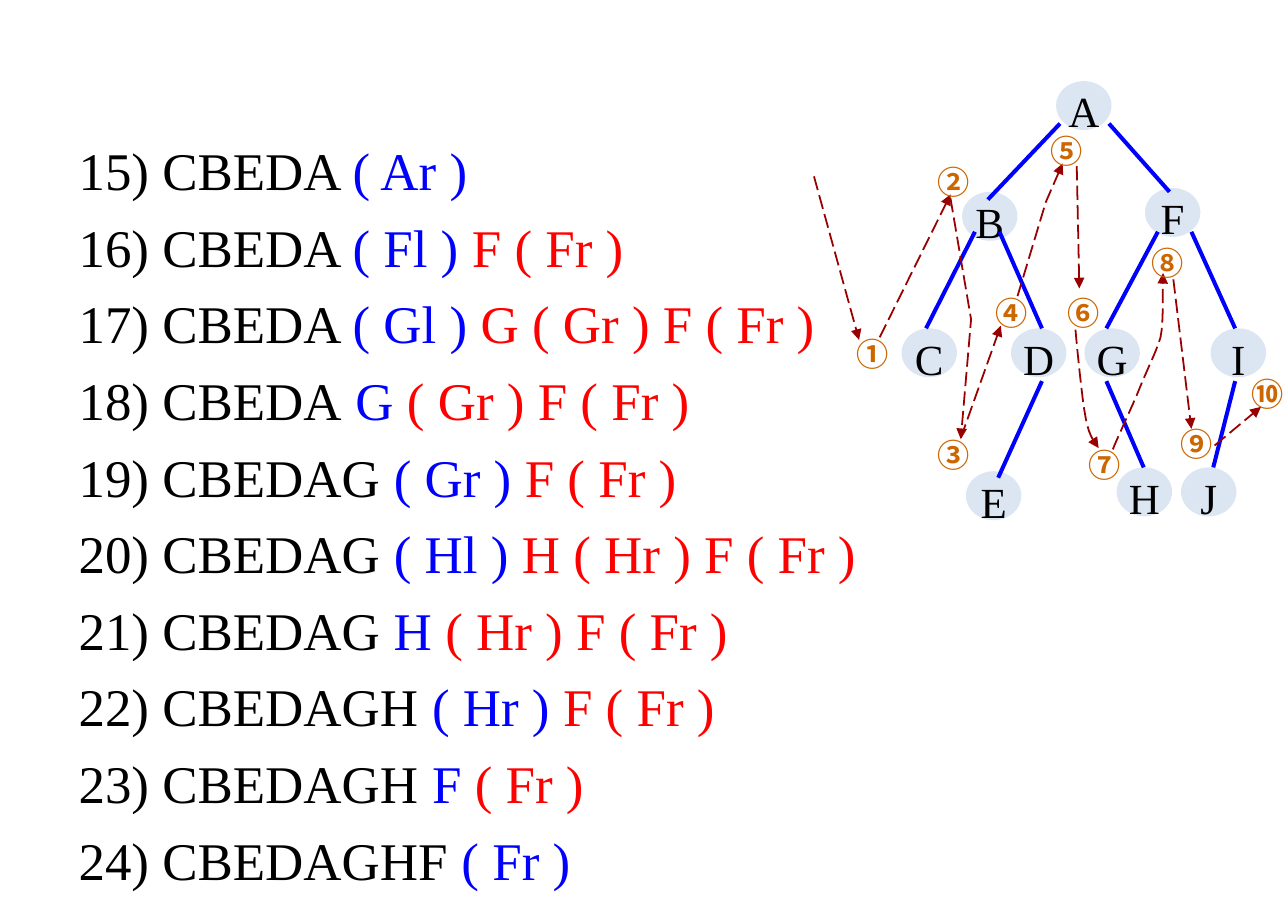
from dataclasses import dataclass

from lxml import etree
from pptx import Presentation
from pptx.dml.color import RGBColor
from pptx.enum.dml import MSO_LINE
from pptx.enum.shapes import MSO_CONNECTOR, MSO_SHAPE
from pptx.enum.text import MSO_ANCHOR, MSO_AUTO_SIZE, PP_ALIGN
from pptx.oxml.ns import qn
from pptx.util import Inches, Pt

BLACK = RGBColor(0x00, 0x00, 0x00)
BLUE = RGBColor(0x00, 0x00, 0xFF)
RED = RGBColor(0xFF, 0x00, 0x00)
PALE_BLUE = RGBColor(0xDC, 0xE6, 0xF2)
DARK_RED = RGBColor(0x99, 0x00, 0x00)
ORANGE = RGBColor(0xCC, 0x66, 0x00)
SERIF = "Times New Roman"
CJK = "Noto Sans CJK SC"
STRAIGHT = MSO_CONNECTOR.STRAIGHT
ELLIPSE = MSO_SHAPE.OVAL
LONG_DASH = MSO_LINE.LONG_DASH
MIDDLE = MSO_ANCHOR.MIDDLE
CENTER = PP_ALIGN.CENTER
NO_AUTOFIT = MSO_AUTO_SIZE.NONE
NODE_WIDTH, NODE_HEIGHT = 0.43, 0.38
CURVE_STEPS = 8

Point = tuple[float, float]


@dataclass(frozen=True)
class Step:
    done: str
    current: str
    pending: str = ""


@dataclass(frozen=True)
class Label:
    text: str
    left: float
    top: float


@dataclass(frozen=True)
class Edge:
    start: Point
    end: Point


@dataclass(frozen=True)
class Trail:
    points: tuple[Point, ...]
    curved: bool = False


STEPS = [
    Step("15) CBEDA ", "( Ar )"),
    Step("16) CBEDA ", "( Fl ) ", "F ( Fr )"),
    Step("17) CBEDA ", "( Gl ) ", "G ( Gr ) F ( Fr )"),
    Step("18) CBEDA", " G", " ( Gr ) F ( Fr )"),
    Step("19) CBEDAG ", "( Gr ) ", "F ( Fr )"),
    Step("20) CBEDAG ", "( Hl ) ", "H ( Hr ) F ( Fr )"),
    Step("21) CBEDAG", " H", " ( Hr ) F ( Fr )"),
    Step("22) CBEDAGH ", "( Hr )", " F ( Fr )"),
    Step("23) CBEDAGH ", "F", " ( Fr )"),
    Step("24) CBEDAGHF ", "( Fr )"),
]
NODES = [
    Label("A", 8.2, 0.63), Label("B", 7.47, 1.49), Label("C", 7, 2.55),
    Label("D", 7.85, 2.55), Label("E", 7.5, 3.66), Label("F", 8.89, 1.46),
    Label("G", 8.42, 2.55), Label("H", 8.67, 3.63), Label("I", 9.4, 2.55),
    Label("J", 9.17, 3.63),
]
EDGES = [
    Edge((8.23, 0.96), (7.67, 1.55)), Edge((8.61, 0.96), (9.08, 1.49)),
    Edge((7.57, 1.8), (7.19, 2.55)), Edge((7.76, 1.8), (8.09, 2.55)),
    Edge((8.99, 1.8), (8.59, 2.55)), Edge((9.25, 1.8), (9.59, 2.55)),
    Edge((8.09, 2.96), (7.75, 3.71)), Edge((8.59, 2.96), (8.88, 3.63)),
    Edge((9.59, 2.96), (9.42, 3.63)),
]
VISITS = [
    Label("①", 6.55, 2.55), Label("②", 7.18, 1.21), Label("③", 7.18, 3.33),
    Label("④", 7.63, 2.23), Label("⑤", 8.06, 0.97), Label("⑥", 8.19, 2.23),
    Label("⑦", 8.35, 3.41), Label("⑧", 8.84, 1.84), Label("⑨", 9.07, 3.25),
    Label("⑩", 9.62, 2.86),
]
TRAILS = [
    Trail(((6.32, 1.37), (6.67, 2.64))),
    Trail(((6.83, 2.62), (7.38, 1.51))),
    Trail(((7.38, 1.54), (7.54, 2.48), (7.46, 3.41))),
    Trail(((7.46, 3.4), (7.77, 2.53))),
    Trail(((7.9, 2.3), (8.12, 1.57), (8.25, 1.27))),
    Trail(((8.36, 1.29), (8.38, 2.24))),
    Trail(((8.35, 2.56), (8.36, 2.67), (8.4, 3.1), (8.43, 3.25),
           (8.46, 3.41), (8.51, 3.44), (8.53, 3.48)), curved=True),
    Trail(((8.64, 3.49), (8.67, 3.41), (8.79, 3.16), (8.85, 3.01),
           (8.91, 2.86), (8.97, 2.75), (9.01, 2.62),
           (9.04, 2.48), (9.02, 2.2), (9.03, 2.12)), curved=True),
    Trail(((9.11, 2.17), (9.25, 3.33))),
    Trail(((9.43, 3.46), (9.79, 3.16))),
]


def write(paragraph, text: str, *, size: float, color: RGBColor,
          font: str = SERIF, bold: bool = False) -> None:
    run = paragraph.add_run()
    run.text = text
    run.font.size = Pt(size)
    run.font.name = font
    run.font.bold = bold
    run.font.color.rgb = color
    etree.SubElement(run.font._element, qn("a:ea"), typeface=font)


def write_steps(body) -> None:
    body.left, body.top = Inches(0.51), Inches(1.02)
    body.width, body.height = Inches(9), Inches(5.67)
    frame = body.text_frame
    frame.auto_size = NO_AUTOFIT
    for index, step in enumerate(STEPS):
        paragraph = frame.add_paragraph() if index else frame.paragraphs[0]
        paragraph.space_before = Pt(7.3)
        properties = paragraph._p.get_or_add_pPr()
        properties.set("marL", str(Inches(0.38)))
        properties.set("indent", str(-Inches(0.38)))
        etree.SubElement(properties, qn("a:buNone"))
        for text, color in ((step.done, BLACK), (step.current, BLUE), (step.pending, RED)):
            if text:
                write(paragraph, text, size=29.6, color=color)


def draw_node(shapes, node: Label) -> None:
    circle = shapes.add_shape(ELLIPSE, Inches(node.left), Inches(node.top),
                              Inches(NODE_WIDTH), Inches(NODE_HEIGHT))
    circle.shadow.inherit = False
    circle.fill.solid()
    circle.fill.fore_color.rgb = PALE_BLUE
    circle.line.fill.background()
    frame = circle.text_frame
    frame.word_wrap = False
    frame.vertical_anchor = MIDDLE
    paragraph = frame.paragraphs[0]
    paragraph.alignment = CENTER
    paragraph.line_spacing = 1.2
    paragraph.space_before = Pt(4.8)
    write(paragraph, node.text, size=24, color=BLACK)


def draw_line(shapes, start: Point, end: Point, color: RGBColor, width: float):
    line = shapes.add_connector(STRAIGHT, *map(Inches, start + end))
    line.line.color.rgb = color
    line.line.width = Pt(width)
    etree.SubElement(line._element.spPr, qn("a:effectLst"))
    return line


def sample_curve(points: tuple[Point, ...]) -> list[Point]:
    sampled = [points[0]]
    for first in range(0, len(points) - 1, 3):
        controls = points[first:first + 4]
        for step in range(1, CURVE_STEPS + 1):
            t = step / CURVE_STEPS
            weights = ((1 - t) ** 3, 3 * t * (1 - t) ** 2, 3 * t ** 2 * (1 - t), t ** 3)
            sampled.append((sum(w * x for w, (x, _) in zip(weights, controls)),
                            sum(w * y for w, (_, y) in zip(weights, controls))))
    return sampled


def draw_trail(shapes, trail: Trail) -> None:
    points = sample_curve(trail.points) if trail.curved else trail.points
    if len(points) == 2:
        arrow = draw_line(shapes, *points, DARK_RED, 1)
    else:
        start, *rest = [(Inches(x), Inches(y)) for x, y in points]
        builder = shapes.build_freeform(*start)
        builder.add_line_segments(rest, close=False)
        arrow = builder.convert_to_shape()
        arrow.shadow.inherit = False
        arrow.fill.background()
        arrow.line.color.rgb = DARK_RED
        arrow.line.width = Pt(1)
    arrow.line.dash_style = LONG_DASH
    etree.SubElement(arrow.line._get_or_add_ln(), qn("a:tailEnd"), type="triangle")


def draw_visit(shapes, visit: Label) -> None:
    number = shapes.add_textbox(Inches(visit.left), Inches(visit.top), Inches(0.49), Inches(0.4))
    number.text_frame.word_wrap = True
    write(number.text_frame.paragraphs[0], visit.text, size=18, color=ORANGE, font=CJK, bold=True)


def main() -> None:
    deck = Presentation()
    deck.slide_width, deck.slide_height = Inches(10), Inches(7.09)
    slide = deck.slides.add_slide(deck.slide_layouts[1])
    title = slide.shapes.title._element
    title.getparent().remove(title)
    write_steps(slide.placeholders[1])
    for node in NODES:
        draw_node(slide.shapes, node)
    for edge in EDGES:
        draw_line(slide.shapes, edge.start, edge.end, BLUE, 2.25)
    for trail in TRAILS:
        draw_trail(slide.shapes, trail)
    for visit in VISITS:
        draw_visit(slide.shapes, visit)
    deck.save("out.pptx")


if __name__ == "__main__":
    main()
